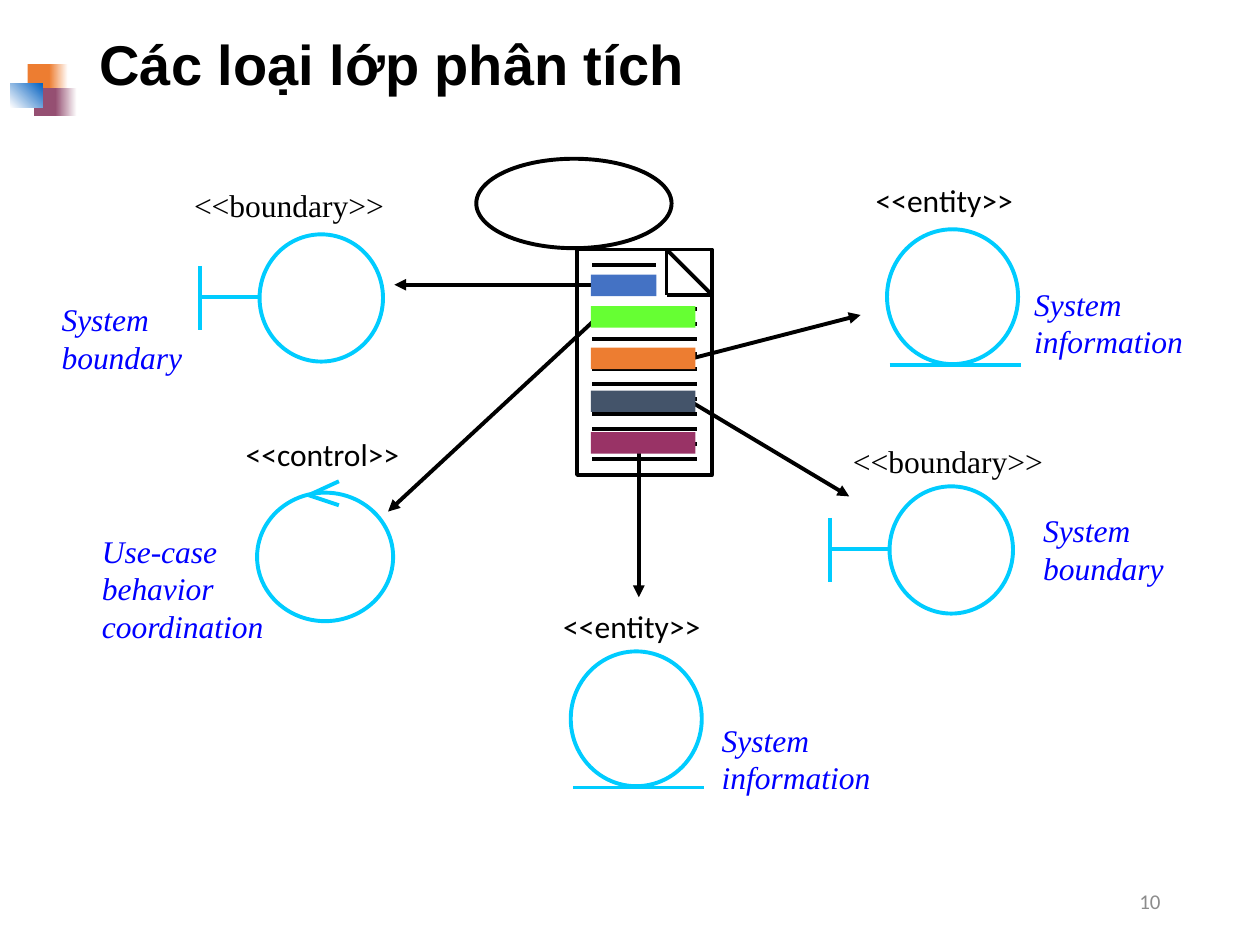
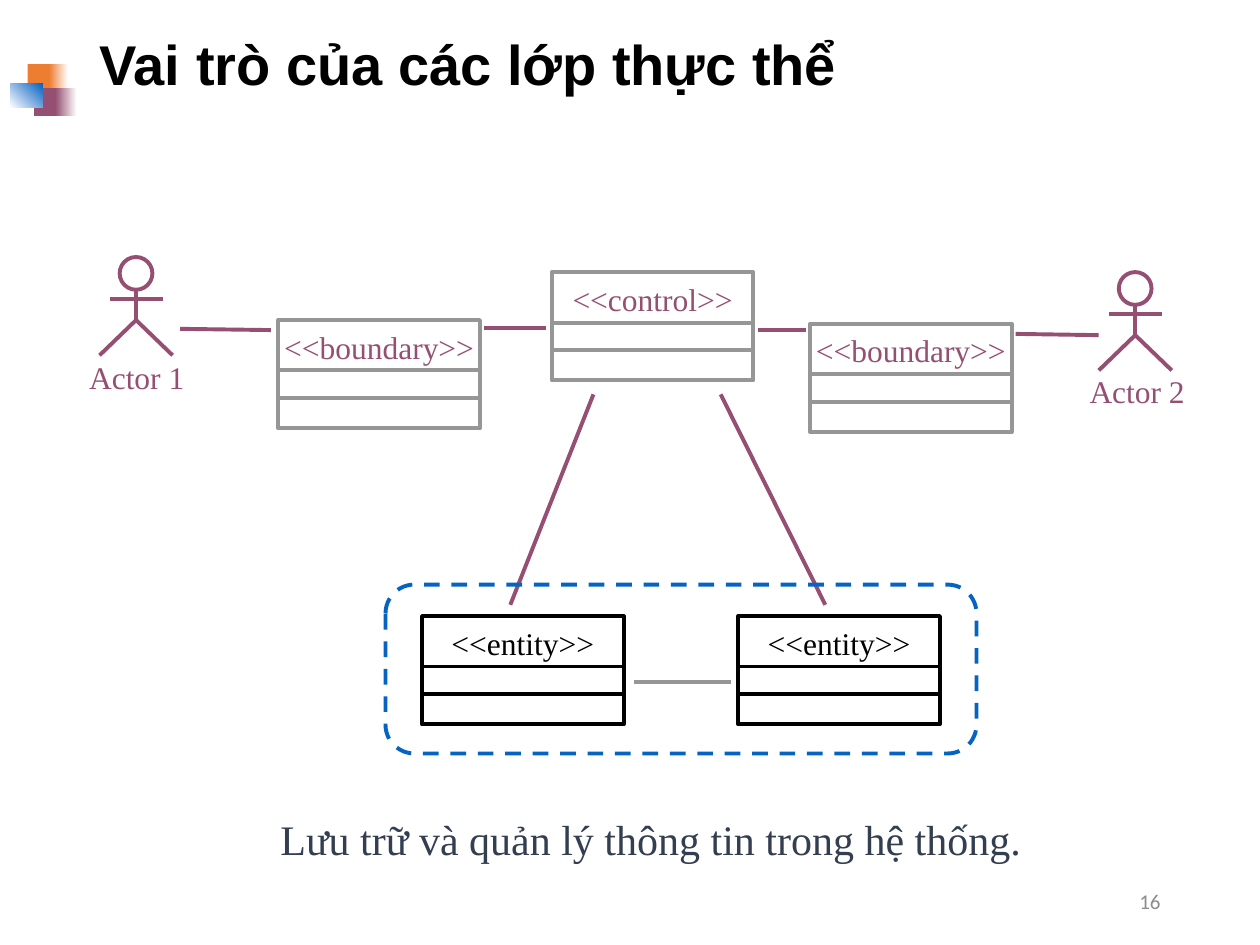
import pptx
import pptx.util
import pptx.dml.color
import pptx.enum.dml
import pptx.enum.shapes
import pptx.enum.text
import pptx.oxml.ns
import lxml.etree

Inches = pptx.util.Inches
SHAPE = pptx.enum.shapes.MSO_SHAPE
ALIGN = pptx.enum.text.PP_ALIGN
ANCHOR = pptx.enum.text.MSO_ANCHOR
AUTO = pptx.enum.text.MSO_AUTO_SIZE
qn = pptx.oxml.ns.qn

COLORS = {
    "black": "000000", "white": "FFFFFF", "page": "8C8C8C", "note": "0000FF",
    "symbol": "00CCFF", "orange": "ED7D31", "plum": "954F72", "blue": "0563C1",
    "gray": "969696", "slate": "333F50", "royal": "4472C4", "green": "66FF33",
    "navy": "44546A", "wine": "993366",
}
FORMATS = {
    "title": {"name": "Arial", "size": 32, "color": "black", "bold": True},
    "page": {"name": "Calibri", "size": 12, "color": "page"},
    "note": {"name": "Times New Roman", "size": 18, "color": "note", "italic": True},
    "serif": {"name": "Times New Roman", "size": 18, "color": "black"},
    "sans": {"name": "Calibri", "size": 18, "color": "black"},
    "role": {"name": "Times New Roman", "size": 18, "color": "plum"},
    "summary": {"name": "Times New Roman", "size": 24, "color": "slate"},
}
PADDED = (0.12, 0.06, 0.12, 0.06)
BARE = (0, 0, 0, 0)


def rgb(name):
    return pptx.dml.color.RGBColor.from_string(COLORS[name])


class Deck:
    line_width = pptx.util.Pt(2.25)

    def __init__(self):
        self.prs = pptx.Presentation()
        self.prs.slide_width = Inches(10)
        self.prs.slide_height = Inches(7.5)
        self.s = None

    def new_slide(self, title, number):
        self.s = self.prs.slides.add_slide(self.prs.slide_layouts[5])
        self.mark()
        sp = self.s.shapes.title
        sp.left, sp.top, sp.width, sp.height = map(Inches, (0.69, 0.13, 8.62, 0.81))
        self.fill_text(sp.text_frame, title, "title", anchor=ANCHOR.MIDDLE, spacing=0.9)
        self.text(7.06, 6.95, 2.25, 0.4, number, "page", align=ALIGN.RIGHT,
                  anchor=ANCHOR.MIDDLE, auto=AUTO.NONE)

    def mark(self):
        for x, y, w, color, fade in (
            (0.22, 0.51, 0.2, "orange", 0.39), (0.27, 0.7, 0.19, "plum", 0.44),
        ):
            self.shape(SHAPE.RECTANGLE, x, y, w, 0.22, fill=color)
            fade_width = 0.15 if color == "orange" else 0.17
            self.shape(SHAPE.RECTANGLE, fade, y, fade_width, 0.22,
                       gradient=(color, "white", 0))
        self.shape(SHAPE.RECTANGLE, 0.08, 0.66, 0.26, 0.19,
                   gradient=("white", "blue", 45))

    def fill_text(self, tf, text, style, align=ALIGN.LEFT, anchor=ANCHOR.TOP,
                  insets=(0.1, 0.05, 0.1, 0.05), wrap=True, auto=AUTO.NONE, spacing=None):
        frame = {"word_wrap": wrap, "auto_size": auto, "vertical_anchor": anchor}
        sides = ("margin_left", "margin_top", "margin_right", "margin_bottom")
        frame.update(zip(sides, map(Inches, insets)))
        for key, value in frame.items():
            setattr(tf, key, value)
        p = tf.paragraphs[0]
        p.alignment = align
        p.line_spacing = spacing
        r = p.add_run()
        r.text = text
        for key, value in FORMATS[style].items():
            if key == "color":
                r.font.color.rgb = rgb(value)
            else:
                setattr(r.font, key, pptx.util.Pt(value) if key == "size" else value)

    def text(self, x, y, w, h, text, style, auto=AUTO.SHAPE_TO_FIT_TEXT, **layout):
        sp = self.s.shapes.add_textbox(*map(Inches, (x, y, w, h)))
        self.fill_text(sp.text_frame, text, style, auto=auto, **layout)

    def paint(self, sp, fill=None, line=None, gradient=None):
        sp.shadow.inherit = False
        if gradient:
            start, end, angle = gradient
            sp.fill.gradient()
            sp.fill.gradient_angle = angle
            for stop, color in zip(sp.fill.gradient_stops, (start, end)):
                stop.color.rgb = rgb(color)
        elif fill:
            sp.fill.solid()
            sp.fill.fore_color.rgb = rgb(fill)
        else:
            sp.fill.background()
        if line:
            sp.line.color.rgb = rgb(line)
            sp.line.width = self.line_width
        else:
            sp.line.fill.background()

    def shape(self, kind, x, y, w, h, **colors):
        sp = self.s.shapes.add_shape(kind, *map(Inches, (x, y, w, h)))
        self.paint(sp, **colors)
        return sp

    def line(self, x1, y1, x2, y2, color="black", arrow=False):
        sp = self.s.shapes.add_connector(
            pptx.enum.shapes.MSO_CONNECTOR.STRAIGHT, *map(Inches, (x1, y1, x2, y2)))
        sp.line.color.rgb = rgb(color)
        sp.line.width = self.line_width
        spPr = sp._element.spPr
        if arrow:
            lxml.etree.SubElement(spPr.find(qn("a:ln")), qn("a:tailEnd"), type="triangle")
        lxml.etree.SubElement(spPr, qn("a:effectLst"))

    def circle(self, x, y, w, h, color="symbol"):
        self.shape(SHAPE.OVAL, x, y, w, h, line=color)

    def boundary(self, x, y):
        self.circle(x, y, 0.98, 1.01)
        self.line(x - 0.47, y + 0.25, x - 0.47, y + 0.76, "symbol")
        self.line(x - 0.47, y + 0.5, x, y + 0.5, "symbol")

    def entity(self, x, y):
        self.circle(x, y, 1.04, 1.07)
        self.line(x + 0.02, y + 1.08, x + 1.06, y + 1.08, "symbol")

    def control(self, x, y):
        self.circle(x, y, 1.08, 1.02)
        for tip in (-0.09, 0.1):
            self.line(x + 0.65, y + tip, x + 0.41, y + 0.02, "symbol")

    def document(self, x, y):
        w, fold = 1.07, 0.36
        right, inner = x + w, x + w - fold
        self.shape(SHAPE.RECTANGLE, x, y, w, 1.79, line="black")
        self.line(inner, y, right, y + fold)
        self.line(inner, y, inner, y + fold)
        self.line(right, y + fold, inner, y + fold)
        for i in range(14):
            row = y + 0.12 + i * 1.54 / 13
            self.line(x + 0.12, row, x + (0.63 if i < 3 else 0.95), row)

    def actor(self, x, y):
        self.circle(x - 0.13, y, 0.26, 0.26, "plum")
        self.line(x, y + 0.26, x, y + 0.5, "plum")
        self.line(x - 0.21, y + 0.33, x + 0.21, y + 0.33, "plum")
        legs = self.s.shapes.build_freeform(Inches(x - 0.29), Inches(y + 0.78))
        legs.add_line_segments(
            [(Inches(x), Inches(y + 0.5)), (Inches(x + 0.29), Inches(y + 0.78))], close=False)
        self.paint(legs.convert_to_shape(), line="plum")

    def class_box(self, x, y, name, color, style):
        self.shape(SHAPE.RECTANGLE, x, y, 1.6, 0.86, line=color)
        for offset in (0.62, 0.4):
            self.line(x, y + offset, x + 1.6, y + offset, color)
        self.text(x, y + 0.06, 1.6, 0.3, name, style, insets=BARE, wrap=False,
                  align=ALIGN.CENTER)


def analysis_classes(d):
    d.new_slide("Các loại lớp phân tích", "10")
    for x, y, w, h, note in (
        (0.39, 2.33, 1.42, 0.7, "System boundary"),
        (0.71, 4.17, 1.58, 1, "Use-case behavior coordination"),
        (8.11, 2.21, 1.67, 0.7, "System information"),
        (5.63, 5.67, 1.67, 0.7, "System information"),
        (8.18, 4.01, 1.42, 0.7, "System boundary"),
    ):
        d.text(x, y, w, h, note, "note")
    for x, y, w, stereotype, style in (
        (1.42, 1.42, 1.86, "<<boundary>>", "serif"),
        (1.83, 3.39, 1.57, "<<control>>", "sans"),
        (6.83, 1.38, 1.42, "<<entity>>", "sans"),
        (4.35, 4.76, 1.42, "<<entity>>", "sans"),
        (6.65, 3.45, 1.86, "<<boundary>>", "serif"),
    ):
        d.text(x, y, w, 0.42, stereotype, style, insets=PADDED, wrap=False)

    d.circle(3.78, 1.26, 1.55, 0.71, "black")
    d.document(4.58, 1.98)
    for arrow in (
        (4.81, 2.26, 3.13, 2.26), (5.47, 2.85, 6.83, 2.5), (5.07, 3.43, 5.07, 4.74),
        (5.47, 3.18, 6.74, 3.94), (4.72, 2.54, 3.08, 4.06),
    ):
        d.line(*arrow, arrow=True)
    for y, w, color in (
        (2.18, 0.52, "royal"), (2.43, 0.83, "green"), (2.76, 0.83, "orange"),
        (3.1, 0.83, "navy"), (3.43, 0.83, "wine"),
    ):
        d.shape(SHAPE.RECTANGLE, 4.69, y, w, 0.17, fill=color)

    d.entity(7.04, 1.82)
    d.control(2.04, 3.91)
    d.boundary(2.06, 1.86)
    d.entity(4.53, 5.17)
    d.boundary(7.06, 3.86)


def entity_roles(d):
    d.new_slide("Vai trò của các lớp thực thể", "16")
    d.text(1.08, 6.41, 8.17, 0.5, "Lưu trữ và quản lý thông tin trong hệ thống.",
           "summary", align=ALIGN.CENTER)
    for x, y, label_x, label_y, name in (
        (1.08, 2.04, 0.69, 2.84, "Actor 1"), (9.01, 2.16, 8.63, 2.95, "Actor 2"),
    ):
        d.actor(x, y)
        d.text(label_x, label_y, 0.79, 0.3, name, "role", insets=BARE, wrap=False,
               align=ALIGN.CENTER)
    for link in (
        (1.43, 2.61, 2.15, 2.62), (3.84, 2.6, 4.33, 2.6), (6.4, 2.62, 6.02, 2.62),
        (8.06, 2.65, 8.72, 2.66), (4.05, 4.8, 4.71, 3.13), (5.72, 3.13, 6.55, 4.8),
    ):
        d.line(*link, color="plum")
    d.line(5.8, 5.41, 5.03, 5.41, "gray")
    for x, y, name, color, style in (
        (2.21, 2.54, "<<boundary>>", "gray", "role"),
        (4.38, 2.16, "<<control>>", "gray", "role"),
        (6.43, 2.57, "<<boundary>>", "gray", "role"),
        (3.35, 4.89, "<<entity>>", "black", "serif"),
        (5.86, 4.89, "<<entity>>", "black", "serif"),
    ):
        d.class_box(x, y, name, color, style)
    frame = d.shape(SHAPE.ROUNDED_RECTANGLE, 3.06, 4.64, 4.69, 1.34, line="blue")
    frame.adjustments[0] = 0.17
    frame.line.dash_style = pptx.enum.dml.MSO_LINE.DASH


def main():
    d = Deck()
    analysis_classes(d)
    entity_roles(d)
    d.prs.save("out.pptx")


if __name__ == "__main__":
    main()
